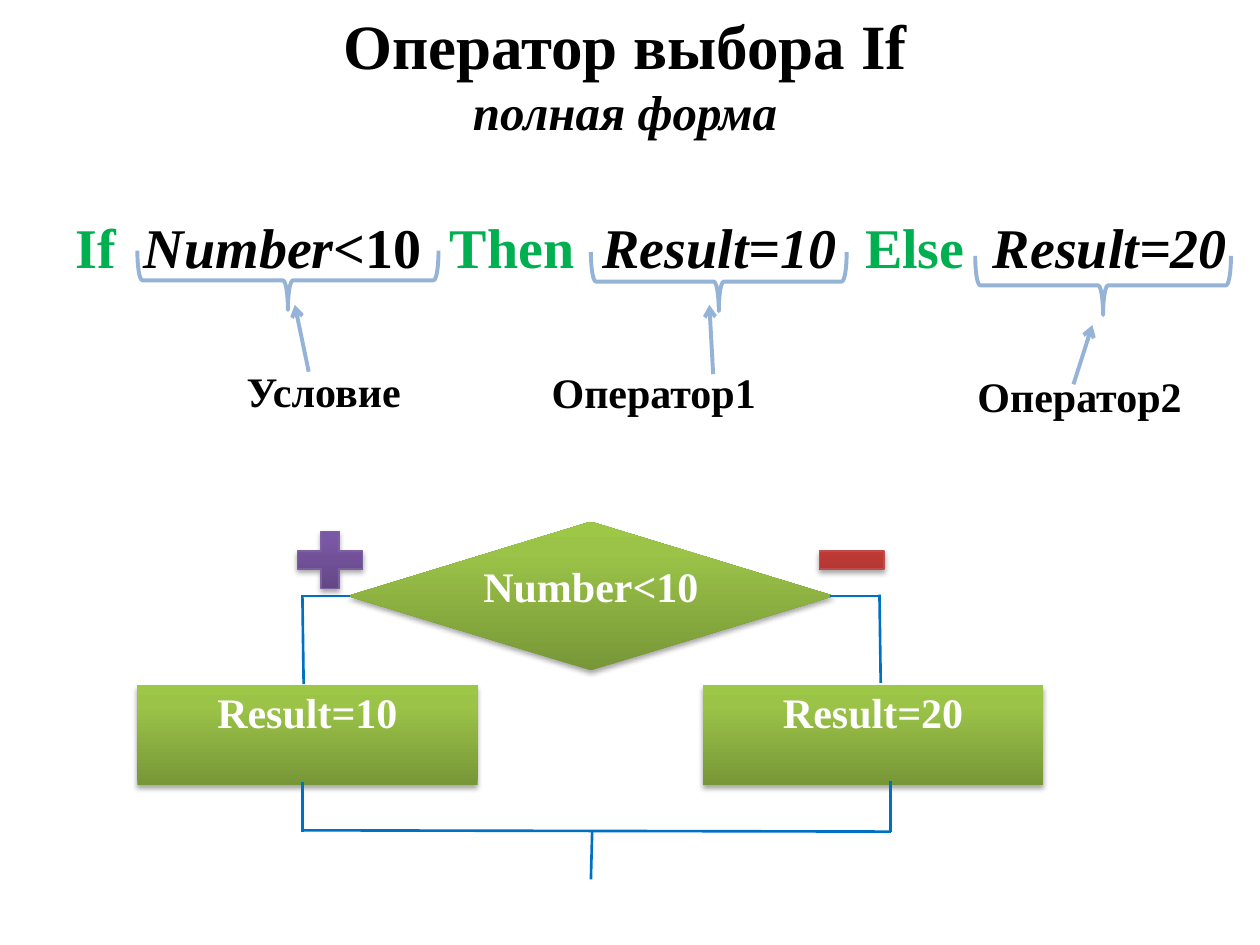
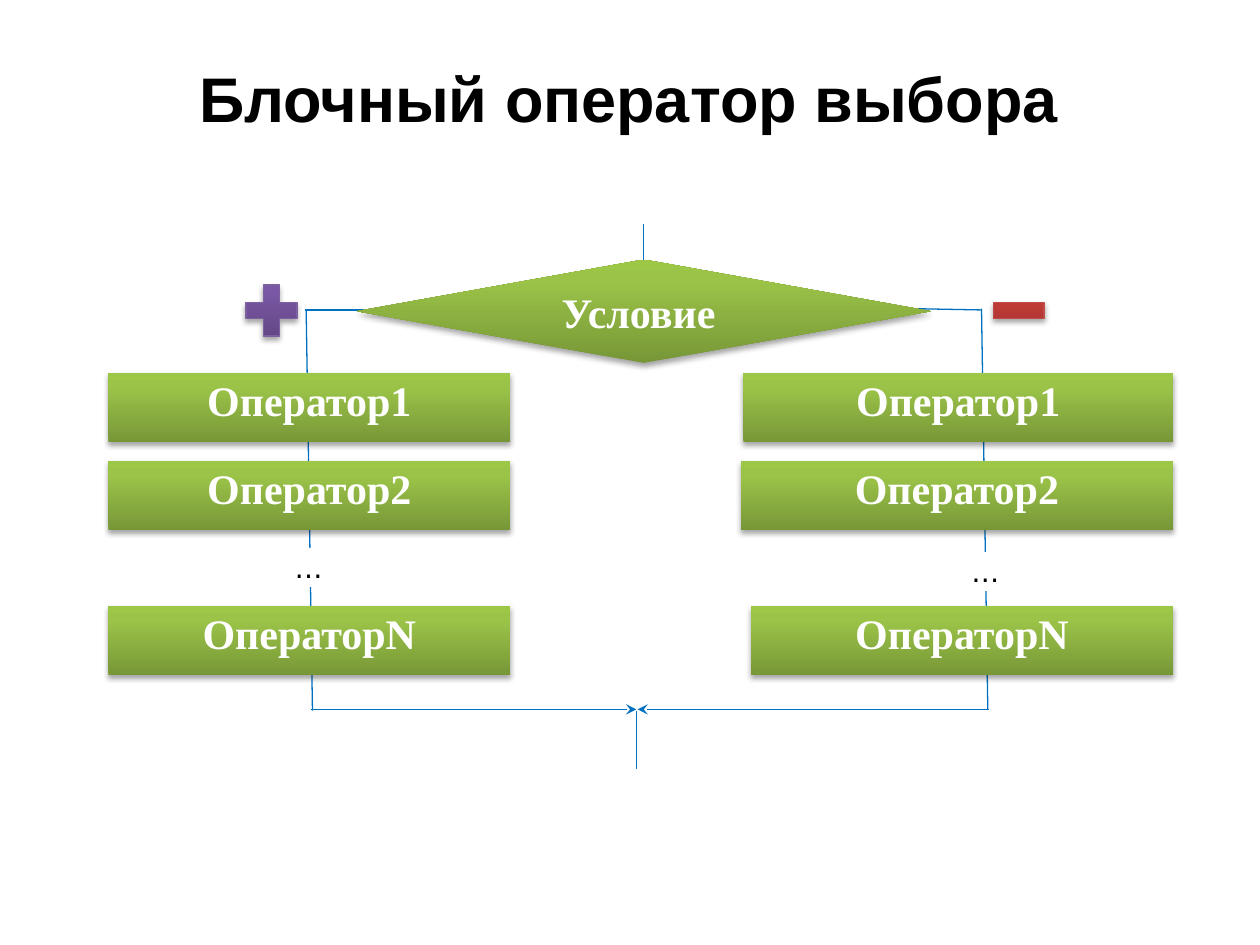
from copy import deepcopy
from typing import NamedTuple

from lxml.etree import SubElement
from pptx import Presentation
from pptx.dml.color import RGBColor
from pptx.enum.shapes import MSO_CONNECTOR, MSO_SHAPE
from pptx.enum.text import MSO_ANCHOR, MSO_AUTO_SIZE, PP_ALIGN
from pptx.oxml.ns import qn
from pptx.shapes.autoshape import Shape
from pptx.slide import Slide
from pptx.util import Emu, Inches, Pt

WIDE, HIGH = Inches(10), Inches(7.5)
COLS, ROWS = 100, 75
SERIF, SANS, DOTS = "Times New Roman", "Arial", "DejaVu Sans"
BLACK, WHITE, BLUE, PALE, KEY = "000000", "FFFFFF", "0070C0", "95B3D7", "00B050"
GREEN = ("779737", "9BC348", "9DC746")
PLUM = ("5F4480", "7B58A6", "7C57A8")
RED = ("9C2F2D", "CB3E3A", "CE3B37")


class Area(NamedTuple):
    """A place on the grid, in columns and rows."""
    left: float
    top: float
    width: float
    height: float


class Bit(NamedTuple):
    """A piece of text in one style."""
    text: str
    size: float = 24
    color: str = BLACK
    bold: bool = True
    slant: bool = False
    face: str = SERIF


class Block(NamedTuple):
    """A step of a flow chart."""
    kind: MSO_SHAPE
    area: Area
    text: str


class Sign(NamedTuple):
    """A plus or minus beside a branch."""
    kind: MSO_SHAPE
    area: Area
    shades: tuple[str, ...]
    edge: str


class Wire(NamedTuple):
    """A straight line between two grid points."""
    start: tuple[float, float]
    end: tuple[float, float]
    head: str = ""
    tail: str = ""


class Part(NamedTuple):
    """A bracketed part of the statement, with its label and arrow."""
    brace: Area
    label: Area
    text: str
    arrow: Wire


def tint(code: str) -> RGBColor:
    """Turn a hex string into a colour."""
    return RGBColor.from_string(code)


def col(count: float) -> Emu:
    """Measure columns."""
    return Emu(round(count * WIDE / COLS))


def row(count: float) -> Emu:
    """Measure rows."""
    return Emu(round(count * HIGH / ROWS))


def frame(area: Area) -> tuple[Emu, Emu, Emu, Emu]:
    """Turn a grid area into slide lengths."""
    return col(area.left), row(area.top), col(area.width), row(area.height)


def write(shape: Shape, lines: list[list[Bit]], align: PP_ALIGN) -> None:
    """Fill a shape with styled lines."""
    body = shape.text_frame
    body.text = "\n".join(bits[0].text for bits in lines)
    for para, bits in zip(body.paragraphs, lines):
        para.alignment = align
        for bit in bits[1:]:
            para.add_run().text = bit.text
        for run, bit in zip(para.runs, bits):
            font = run.font
            font.size, font.name = Pt(bit.size), bit.face
            font.bold, font.italic = bit.bold, bit.slant
            font.color.rgb = tint(bit.color)


def add_text(slide: Slide, area: Area, lines: list[list[Bit]],
             align: PP_ALIGN = PP_ALIGN.CENTER, wrap: bool = True) -> Shape:
    """Add a text box that grows with its text."""
    box = slide.shapes.add_textbox(*frame(area))
    box.text_frame.word_wrap = wrap
    box.text_frame.auto_size = MSO_AUTO_SIZE.SHAPE_TO_FIT_TEXT
    write(box, lines, align)
    return box


def add_form(slide: Slide, kind: MSO_SHAPE, area: Area) -> Shape:
    """Add a bare preset shape."""
    form = slide.shapes.add_shape(kind, *frame(area))
    form.shadow.inherit = False
    form.fill.background()
    form.line.fill.background()
    return form


def shade(form: Shape, shades: tuple[str, ...]) -> None:
    """Give a shape its gradient and soft shadow."""
    form.fill.gradient()
    form.fill.gradient_angle = 90
    props = form.element.spPr
    stops = props.find(".//" + qn("a:gsLst"))
    stops.append(deepcopy(stops[0]))
    for stop, place, code in zip(form.fill.gradient_stops, (0, 0.8, 1), shades):
        stop.position = place
        stop.color.rgb = tint(code)
    glow = SubElement(props.find(qn("a:effectLst")), qn("a:outerShdw"),
                      blurRad=str(Pt(3.1)), dist=str(Pt(1.8)), dir="5400000", rotWithShape="0")
    dark = SubElement(glow, qn("a:srgbClr"), val=BLACK)
    SubElement(dark, qn("a:alpha"), val="35000")


def add_block(slide: Slide, block: Block) -> None:
    """Draw a green step with white text."""
    form = add_form(slide, block.kind, block.area)
    shade(form, GREEN)
    body = form.text_frame
    body.vertical_anchor = MSO_ANCHOR.TOP
    body.margin_top = body.margin_bottom = Inches(0.01)
    write(form, [[Bit(block.text, color=WHITE)]], PP_ALIGN.CENTER)


def add_sign(slide: Slide, sign: Sign) -> None:
    """Draw a branch sign."""
    form = add_form(slide, sign.kind, sign.area)
    shade(form, sign.shades)
    form.line.color.rgb = tint(sign.edge)
    form.line.width = Pt(0.75)


def add_wire(slide: Slide, wire: Wire, color: str, width: float) -> None:
    """Draw a line with optional arrowheads."""
    (left, top), (right, base) = wire.start, wire.end
    link = slide.shapes.add_connector(MSO_CONNECTOR.STRAIGHT, col(left), row(top), col(right), row(base))
    link.line.color.rgb = tint(color)
    link.line.width = Pt(width)
    props = link.element.spPr
    for name, kind in (("a:headEnd", wire.head), ("a:tailEnd", wire.tail)):
        if kind:
            SubElement(props.find(qn("a:ln")), qn(name), type=kind)
    SubElement(props, qn("a:effectLst"))


def add_part(slide: Slide, part: Part) -> None:
    """Draw a brace, its label and the arrow between them."""
    brace = add_form(slide, MSO_SHAPE.LEFT_BRACE, part.brace)
    brace.rotation = 270
    brace.line.color.rgb = tint(PALE)
    brace.line.width = Pt(2.25)
    add_text(slide, part.label, [[Bit(part.text)]], PP_ALIGN.LEFT, False)
    add_wire(slide, part.arrow, PALE, 2.25)


def add_dots(slide: Slide, area: Area) -> None:
    """Draw the white gap that stands for more steps."""
    form = add_form(slide, MSO_SHAPE.FLOWCHART_PROCESS, area)
    form.fill.solid()
    form.fill.fore_color.rgb = tint(WHITE)
    form.text_frame.vertical_anchor = MSO_ANCHOR.MIDDLE
    write(form, [[Bit("…", 16, bold=False, face=DOTS)]], PP_ALIGN.CENTER)


def signs(plus: Area, minus: Area) -> list[Sign]:
    """Pair the two branch signs."""
    return [Sign(MSO_SHAPE.MATH_PLUS, plus, PLUM, "7D60A0"),
            Sign(MSO_SHAPE.MATH_MINUS, minus, RED, "BF4C48")]


def draw_full(slide: Slide) -> None:
    """Draw the full form of the If statement."""
    add_text(slide, Area(3.9, 0, 91.4, 11.7),
             [[Bit("Оператор выбора If", 36)], [Bit("полная форма", 28, slant=True)]])
    step = MSO_SHAPE.FLOWCHART_PROCESS
    for block in (Block(MSO_SHAPE.FLOWCHART_DECISION, Area(27.6, 41.4, 38.6, 11.8), "Number<10"),
                  Block(step, Area(10.9, 54.4, 27, 7.9), "Result=10"),
                  Block(step, Area(55.8, 54.4, 27, 7.9), "Result=20")):
        add_block(slide, block)
    for wire in (Wire((27.8, 47.3), (23.9, 47.3)), Wire((24, 47.3), (24.1, 54.3)),
                 Wire((65.9, 47.3), (69.8, 47.3)), Wire((69.8, 47.2), (69.9, 54.2)),
                 Wire((24, 62.1), (24, 66)), Wire((70.7, 62), (70.7, 66)),
                 Wire((24.1, 65.9), (70.7, 66)), Wire((46.9, 69.8), (47, 65.9))):
        add_wire(slide, wire, BLUE, 1.5)
    code = add_text(slide, Area(0, 16.4, 98.4, 6.4), [[
        Bit("If  ", 32, KEY), Bit("Number", 32, slant=True), Bit("<10  ", 32),
        Bit("Then  ", 32, KEY), Bit("Result=10  ", 32, slant=True),
        Bit("Else  ", 32, KEY), Bit("Result=20", 32, slant=True)]], PP_ALIGN.JUSTIFY)
    code.text_frame.paragraphs[0]._p.get_or_add_pPr().set("indent", str(Inches(0.5)))
    for part in (
            Part(Area(20.5, 10.3, 4.7, 23.9), Area(18.6, 28.5, 14.4, 5), "Условие",
                 Wire((24.5, 29.5), (23.4, 24.2), tail="arrow")),
            Part(Area(54.7, 12.2, 4.7, 20.3), Area(42.8, 28.6, 18.4, 5), "Оператор1",
                 Wire((56.6, 29.7), (56.3, 24.2), tail="arrow")),
            Part(Area(85.2, 12.5, 4.7, 20.3), Area(76.6, 28.9, 18.4, 5), "Оператор2",
                 Wire((85.2, 30.5), (86.7, 25.8), tail="arrow"))):
        add_part(slide, part)
    for sign in signs(Area(22.7, 41.4, 7, 6.1), Area(64.1, 41.4, 7, 6.1)):
        add_sign(slide, sign)


def draw_block(slide: Slide) -> None:
    """Draw the block form with two branches of steps."""
    for wire in (Wire((24.3, 24.6), (24.8, 56.4)), Wire((77.9, 24.5), (78.4, 56.3)),
                 Wire((51.1, 20.6), (51.1, 17.8)), Wire((46.1, 24), (77.9, 24.6)),
                 Wire((24.2, 24.6), (28.8, 24.6)), Wire((50.5, 56.4), (50.5, 61)),
                 Wire((24.7, 56.3), (50.5, 56.3), tail="stealth"),
                 Wire((50.6, 56.3), (78.5, 56.3), head="stealth")):
        add_wire(slide, wire, BLUE, 0.75)
    add_block(slide, Block(MSO_SHAPE.FLOWCHART_DECISION, Area(28.3, 20.6, 45.6, 8.2), "Условие "))
    edge = 93.1
    for text, top, left in (("Оператор1", 29.6, 59), ("Оператор2", 36.6, 58.8), ("ОператорN", 48.1, 59.6)):
        for area in (Area(8.6, top, 31.9, 5.5), Area(left, top, edge - left, 5.5)):
            add_block(slide, Block(MSO_SHAPE.FLOWCHART_PROCESS, area, text))
    for left, top in ((16.6, 43.5), (70.3, 43.8)):
        add_dots(slide, Area(left, top, 15.8, 3.1))
    for sign in signs(Area(18.8, 21.9, 5.5, 5.5), Area(78.1, 21.9, 5.5, 5.5)):
        add_sign(slide, sign)
    add_text(slide, Area(4.2, 4.2, 91.4, 7.1), [[Bit("Блочный оператор выбора", 36, face=SANS)]])


def main() -> None:
    """Build and save the deck."""
    deck = Presentation()
    deck.slide_width, deck.slide_height = WIDE, HIGH
    for draw in (draw_full, draw_block):
        draw(deck.slides.add_slide(deck.slide_layouts[6]))
    deck.save("out.pptx")


main()
